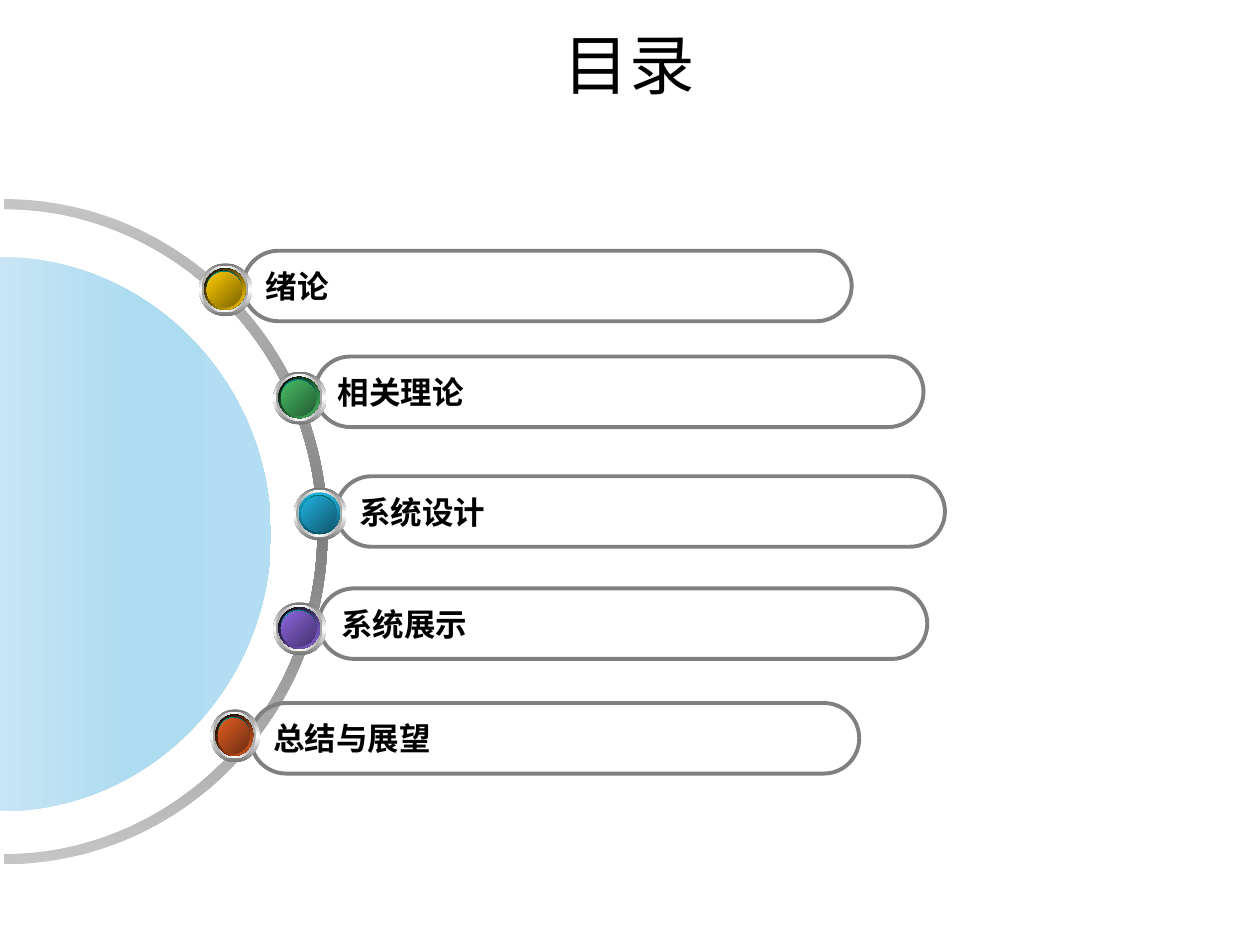
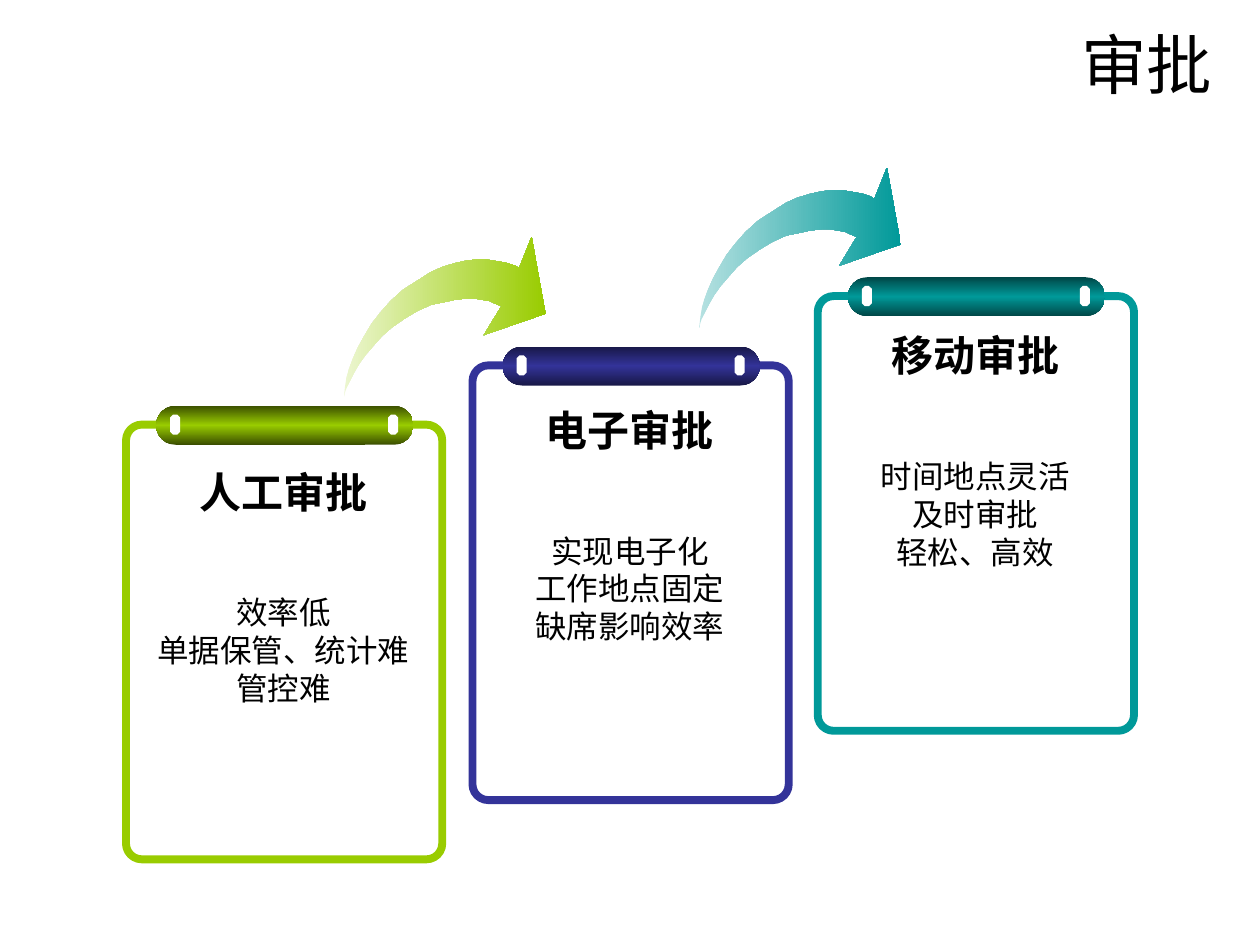
from pptx import Presentation
from pptx.dml.color import RGBColor
from pptx.enum.shapes import MSO_SHAPE
from pptx.enum.text import MSO_ANCHOR, PP_ALIGN
from pptx.oxml import parse_xml
from pptx.oxml.ns import nsdecls, qn
from pptx.util import Pt

PX = 9144
BLACK, WHITE, GREY = "000000", "FFFFFF", "808080"
TEAL, DEEP_TEAL = "009999", "005353"
LATIN, CJK = "Arial", "Noto Sans CJK SC"
BEZIER = 0.55

CHAPTERS = [
    ("绪论", (193, 199), (158, 209, 42), (BLACK, "FFCC00"), 45, ("FFCC00", "7C6300")),
    ("相关理论", (250, 283), (217, 295, 42), (BLACK, "48BE67"), 45, ("48BE67", "235C32")),
    ("系统设计", (267, 378), (233, 387, 42), ("21B3E1", "0F5368"), 90, ("21B3E1", "10576D")),
    ("系统展示", (253, 467), (217, 478, 42), (BLACK, "8D67E1"), 45, ("8D67E1", "45326D")),
    ("总结与展望", (199, 558), (167, 563, 39), (BLACK, "E35E23"), 45, ("E35E23", "6E2E11")),
]
APPROVALS = [
    ("人工审批", ["效率低", "单据保管、统计难", "管控难"], (100, 337), 28, "99CC00", "3B4F00"),
    ("电子审批", ["实现电子化", "工作地点固定", "缺席影响效率"], (375, 290), 26, "333399", "181847"),
    ("移动审批", ["时间地点灵活", "及时审批", "轻松、高效"], (649, 235), 22, TEAL, "004747"),
]
ARROWS = [((273, 188), "ECF6D0", "99CC00"), ((555, 133), "B5E1E1", TEAL)]
ARROW_OUTLINE = [
    (0, 127), (1, 123), (2, 120), (5, 114), (8, 108), (12, 101), (17, 94), (23, 87),
    (30, 79), (38, 72), (48, 65), (58, 59), (69, 54), (79, 52), (88, 50), (97, 49),
    (104, 49), (110, 50), (116, 51), (120, 53), (125, 55), (111, 78), (160, 61),
    (149, 0), (139, 25), (136, 23), (130, 21), (125, 20), (119, 19), (113, 18),
    (105, 18), (97, 19), (88, 21), (78, 24), (69, 28), (58, 35), (47, 42), (37, 51),
    (29, 60), (22, 69), (16, 79), (11, 88), (7, 97), (4, 105), (2, 112), (1, 118),
]


def colour(code):
    return RGBColor.from_string(code)


def half_oval(x, y, rx, ry):
    kx, ky = rx * BEZIER, ry * BEZIER
    return [
        [(x, y - ry)],
        [(x + kx, y - ry), (x + rx, y - ky), (x + rx, y)],
        [(x + rx, y + ky), (x + kx, y + ry), (x, y + ry)],
    ]


class Deck:
    """Holds the shared style and the current slide."""

    def __init__(self):
        self.show = Presentation()
        self.show.slide_width, self.show.slide_height = 1000 * PX, 750 * PX

    def new_slide(self, title, align):
        self.shapes = self.show.slides.add_slide(self.show.slide_layouts[6]).shapes
        heading = self.text((27, 21, 945, 77), [title])[0]
        self.style(heading, 37.4, CJK, align=align)
        heading.line_spacing = 0.9

    def style(self, paragraph, size, font, bold=False, align=PP_ALIGN.CENTER):
        paragraph.alignment = align
        paragraph.font.size, paragraph.font.name = Pt(size), font
        paragraph.font.bold = bold
        paragraph.font.color.rgb = colour(BLACK)

    def text(self, box, lines):
        frame = self.shapes.add_textbox(*(v * PX for v in box)).text_frame
        frame.word_wrap = True
        frame.text = "\n".join(lines)
        return frame.paragraphs

    def paint(self, shape, fill, angle=0, line=None, width=0):
        shape.shadow.inherit = False
        if not fill:
            shape.fill.background()
        elif len(fill) == 1:
            shape.fill.solid()
            shape.fill.fore_color.rgb = colour(fill[0])
        else:
            self.gradient(shape, fill, angle)
        if line:
            shape.line.color.rgb = colour(line)
            shape.line.width = Pt(width)
        else:
            shape.line.fill.background()
        return shape

    def gradient(self, shape, codes, angle):
        shape.fill.gradient()
        stops = "".join(
            f'<a:gs pos="{100000 * i // (len(codes) - 1)}"><a:srgbClr val="{code}"/></a:gs>'
            for i, code in enumerate(codes))
        properties = shape._element.spPr
        properties.replace(properties.find(qn("a:gradFill")), parse_xml(
            f'<a:gradFill {nsdecls("a")} rotWithShape="1"><a:gsLst>{stops}</a:gsLst>'
            f'<a:lin ang="{angle * 60000}" scaled="0"/></a:gradFill>'))

    def preset(self, kind, box, fill=(), angle=0, line=None, width=0, corner=None):
        shape = self.shapes.add_shape(kind, *(v * PX for v in box))
        if corner is not None:
            shape.adjustments[0] = corner
        return self.paint(shape, fill, angle, line, width)

    def outline(self, segments, fill, angle=0):
        start, *corners = [(round(x * PX), round(y * PX)) for part in segments for x, y in part]
        builder = self.shapes.build_freeform(*start)
        builder.add_line_segments(corners)
        shape = builder.convert_to_shape()
        steps = iter(list(shape._element.iter(qn("a:lnTo"))))
        for part in segments[1:]:
            group = [next(steps) for _ in part]
            if len(group) == 3:
                self.bend(group)
        self.paint(shape, fill, angle)

    def bend(self, steps):
        curve = parse_xml(f'<a:cubicBezTo {nsdecls("a")}/>')
        steps[0].addprevious(curve)
        for step in steps:
            curve.append(step[0])
            step.getparent().remove(step)

    def pill(self, label, left, top):
        pill = self.preset(MSO_SHAPE.ROUNDED_RECTANGLE, (left, top, 483, 56),
                           line=GREY, width=2.25, corner=0.5)
        frame = pill.text_frame
        frame.word_wrap, frame.vertical_anchor = True, MSO_ANCHOR.MIDDLE
        frame.text = label
        self.style(frame.paragraphs[0], 18, LATIN, True, PP_ALIGN.LEFT)

    def knob(self, left, top, width, rim, rim_angle, face):
        layers = [
            (0, 0, 42, ("767676", WHITE, "767676"), 90),
            (2, 2, 37, ("A2A2A2", WHITE, "A2A2A2"), 0),
            (4, 4, 33, (WHITE, TEAL, WHITE), 45),
            (4, 4, 33, rim, rim_angle),
            (6, 6, 28, (DEEP_TEAL, TEAL, DEEP_TEAL), 315),
            (6, 7, 28, face, 45),
        ]
        for dx, dy, size, fill, angle in layers:
            box = (left + dx, top + dy, size + width - 42, size)
            self.preset(MSO_SHAPE.OVAL, box, fill, angle)

    def clipboard(self, name, points, left, top, drop, bright, dark):
        self.preset(MSO_SHAPE.ROUNDED_RECTANGLE, (left, top, 251, 345),
                    line=bright, width=4.5, corner=0.05)
        self.preset(MSO_SHAPE.ROUNDED_RECTANGLE, (left + 24, top - 15, 204, 31),
                    (dark, bright, dark), 90, corner=0.5)
        for offset in (208, 35):
            self.preset(MSO_SHAPE.OCTAGON, (left + offset, top - 8, 8, 16), (WHITE,))
        heading, *body = self.text((left + 8, top + drop, 234, 200), [name, *points])
        self.style(heading, 24, CJK, True)
        for point in body:
            self.style(point, 18, LATIN)
        body[0].space_before = Pt(44)


def main():
    deck = Deck()

    deck.new_slide("目录", PP_ALIGN.CENTER)
    ring = half_oval(3, 422, 257, 264) + half_oval(3, 422, 249, -256)
    deck.outline(ring, ("C5C5C5", GREY, "C5C5C5"), 90)
    deck.outline(half_oval(0, 424, 215, 220), ("C8E5F5", "ADDBF0", "B2DDF2"))
    for label, place, *_ in reversed(CHAPTERS):
        deck.pill(label, *place)
    for _, _, place, rim, rim_angle, face in CHAPTERS:
        deck.knob(*place, rim, rim_angle, face)

    deck.new_slide("审批", PP_ALIGN.RIGHT)
    for (left, top), pale, full in ARROWS:
        deck.outline([[(left + x, top + y)] for x, y in ARROW_OUTLINE], (pale, full))
    for name, points, place, drop, bright, dark in APPROVALS:
        deck.clipboard(name, points, *place, drop, bright, dark)

    deck.show.save("out.pptx")


if __name__ == "__main__":
    main()
